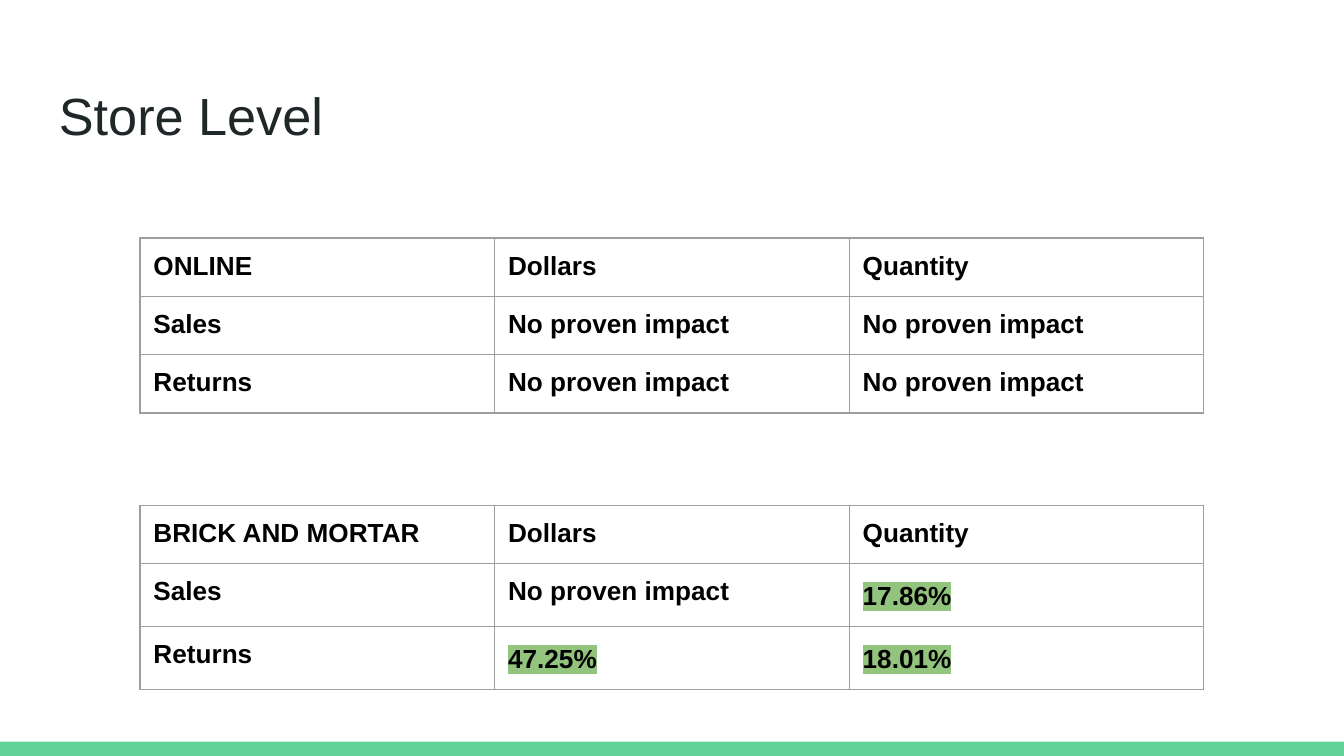
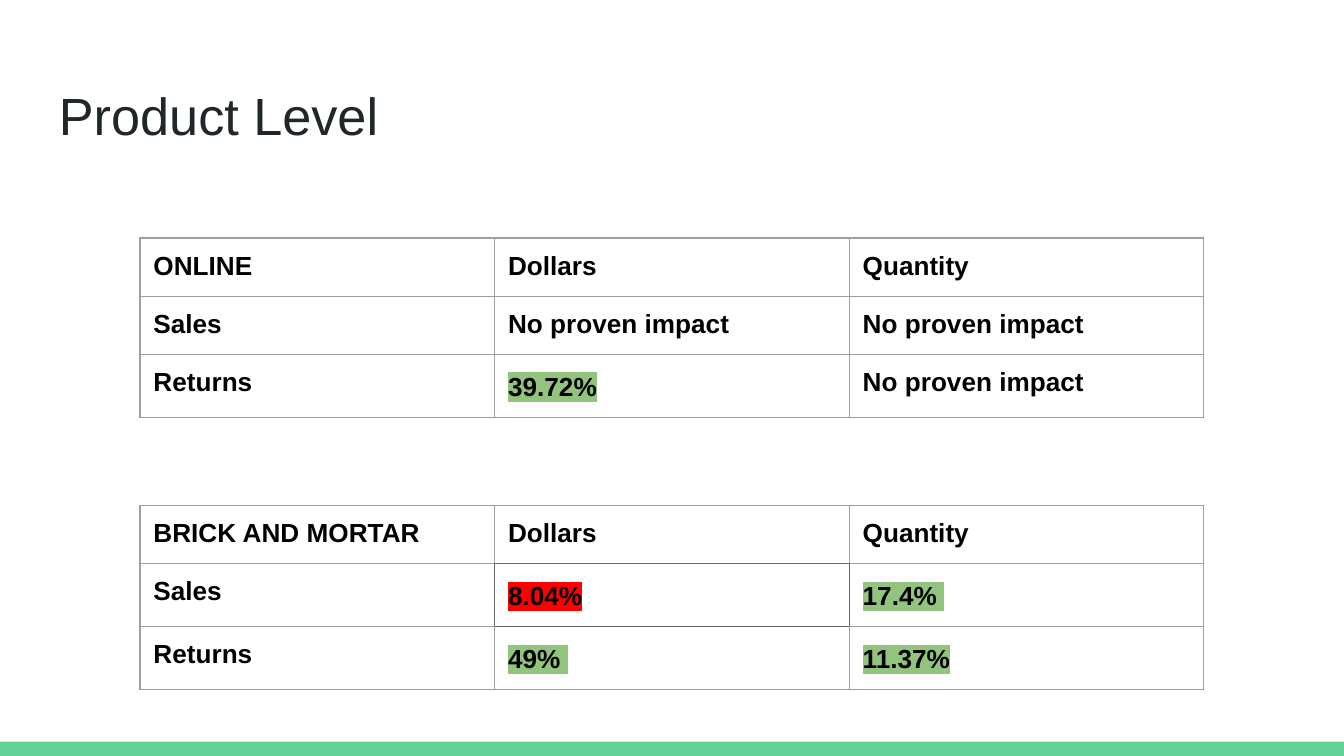
"""Build two slides of result tables, by store and by product."""
from lxml.etree import SubElement
from pptx import Presentation
from pptx.dml.color import RGBColor
from pptx.enum.shapes import MSO_SHAPE as Shape
from pptx.enum.text import MSO_ANCHOR as Anchor
from pptx.oxml.ns import qn
from pptx.util import Pt

NONE = "No proven impact"
SLIDES = [
    ("Store Level", [
        [("ONLINE", "Dollars", "Quantity"),
         ("Sales", NONE, NONE),
         ("Returns", NONE, NONE)],
        [("BRICK AND MORTAR", "Dollars", "Quantity"),
         ("Sales", NONE, "17.86%"),
         ("Returns", "47.25%", "18.01%")],
    ]),
    ("Product Level", [
        [("ONLINE", "Dollars", "Quantity"),
         ("Sales", NONE, NONE),
         ("Returns", "39.72%", NONE)],
        [("BRICK AND MORTAR", "Dollars", "Quantity"),
         ("Sales", "8.04%", "17.4% "),
         ("Returns", "49% ", "11.37%")],
    ]),
]
LOSSES = {"8.04%"}

FONT = "Arial"
WHITE = RGBColor(0xFF, 0xFF, 0xFF)
BLACK = RGBColor(0x00, 0x00, 0x00)
TITLE_INK = RGBColor(0x20, 0x27, 0x29)
BAND_GREEN = RGBColor(0x63, 0xD2, 0x97)
GAIN_GREEN = RGBColor(0x93, 0xC4, 0x7D)
LOSS_RED = RGBColor(0xFF, 0x00, 0x00)
GRID_GREY = RGBColor(0x9E, 0x9E, 0x9E)
LOSS_GREY = RGBColor(0x66, 0x66, 0x66)

SLIDE_WIDTH, SLIDE_HEIGHT = 720, 405
BAND_HEIGHT = 7.7
INSET = 7.2
TABLE_LEFT, TABLE_TOPS = 75, (127.5, 270.8)
COLUMN_WIDTH, ROW_HEIGHT = 190, 30
EDGES = {"a:lnL": (0, -1), "a:lnR": (0, 1), "a:lnT": (-1, 0), "a:lnB": (1, 0)}


def style_run(run, size, color, bold=False):
    run.font.size = Pt(size)
    run.font.bold = bold
    run.font.color.rgb = color
    run.font.name = FONT


def highlight(run, color):
    properties = run.font._element
    mark = SubElement(properties, qn("a:highlight"))
    SubElement(mark, qn("a:srgbClr"), val=str(color))
    properties.find(qn("a:solidFill")).addnext(mark)


def add_border(cell, position, edge, color):
    line = SubElement(cell._tc.get_or_add_tcPr(), qn(edge), w=str(Pt(0.75)))
    fill = SubElement(line, qn("a:solidFill"))
    SubElement(fill, qn("a:srgbClr"), val=str(color))
    cell._tc.tcPr.insert(position, line)


def add_band(slide):
    band = slide.shapes.add_shape(
        Shape.RECTANGLE, 0, Pt(SLIDE_HEIGHT - BAND_HEIGHT), Pt(SLIDE_WIDTH), Pt(BAND_HEIGHT))
    band.shadow.inherit = False
    band.fill.solid()
    band.fill.fore_color.rgb = BAND_GREEN
    band.line.fill.background()


def add_title(slide, title):
    frame = slide.shapes.add_textbox(Pt(24.5), Pt(35), Pt(671), Pt(45)).text_frame
    frame.word_wrap = True
    frame.vertical_anchor = Anchor.TOP
    frame.margin_left = frame.margin_right = frame.margin_bottom = Pt(INSET)
    frame.margin_top = Pt(9.6)
    frame.text = title
    style_run(frame.paragraphs[0].runs[0], 28, TITLE_INK)


def fill_cell(cell, text):
    cell.margin_left = cell.margin_right = Pt(INSET)
    cell.margin_top = cell.margin_bottom = Pt(INSET)
    cell.fill.background()
    cell.text_frame.text = text
    paragraph = cell.text_frame.paragraphs[0]
    run = paragraph.runs[0]
    style_run(run, 14, BLACK, bold=True)
    if "%" in text:
        paragraph.line_spacing = 1.15
        highlight(run, LOSS_RED if text in LOSSES else GAIN_GREEN)


def add_results(slide, top, rows):
    row_count, column_count = len(rows), len(rows[0])
    table = slide.shapes.add_table(
        row_count, column_count, Pt(TABLE_LEFT), Pt(top),
        Pt(COLUMN_WIDTH * column_count), Pt(ROW_HEIGHT * row_count)).table
    table.first_row = table.horz_banding = False
    for column in table.columns:
        column.width = Pt(COLUMN_WIDTH)
    for row in table.rows:
        row.height = Pt(ROW_HEIGHT)
    losses = {(r, c) for r, row in enumerate(rows)
              for c, text in enumerate(row) if text in LOSSES}
    for r, row in enumerate(rows):
        for c, text in enumerate(row):
            cell = table.cell(r, c)
            fill_cell(cell, text)
            for position, (edge, (down, right)) in enumerate(EDGES.items()):
                touches_loss = losses & {(r, c), (r + down, c + right)}
                add_border(cell, position, edge, LOSS_GREY if touches_loss else GRID_GREY)


def main():
    presentation = Presentation()
    presentation.slide_width, presentation.slide_height = Pt(SLIDE_WIDTH), Pt(SLIDE_HEIGHT)
    for title, tables in SLIDES:
        slide = presentation.slides.add_slide(presentation.slide_layouts[6])
        slide.background.fill.solid()
        slide.background.fill.fore_color.rgb = WHITE
        add_band(slide)
        add_title(slide, title)
        for top, rows in zip(TABLE_TOPS, tables):
            add_results(slide, top, rows)
    presentation.save("out.pptx")


if __name__ == "__main__":
    main()
